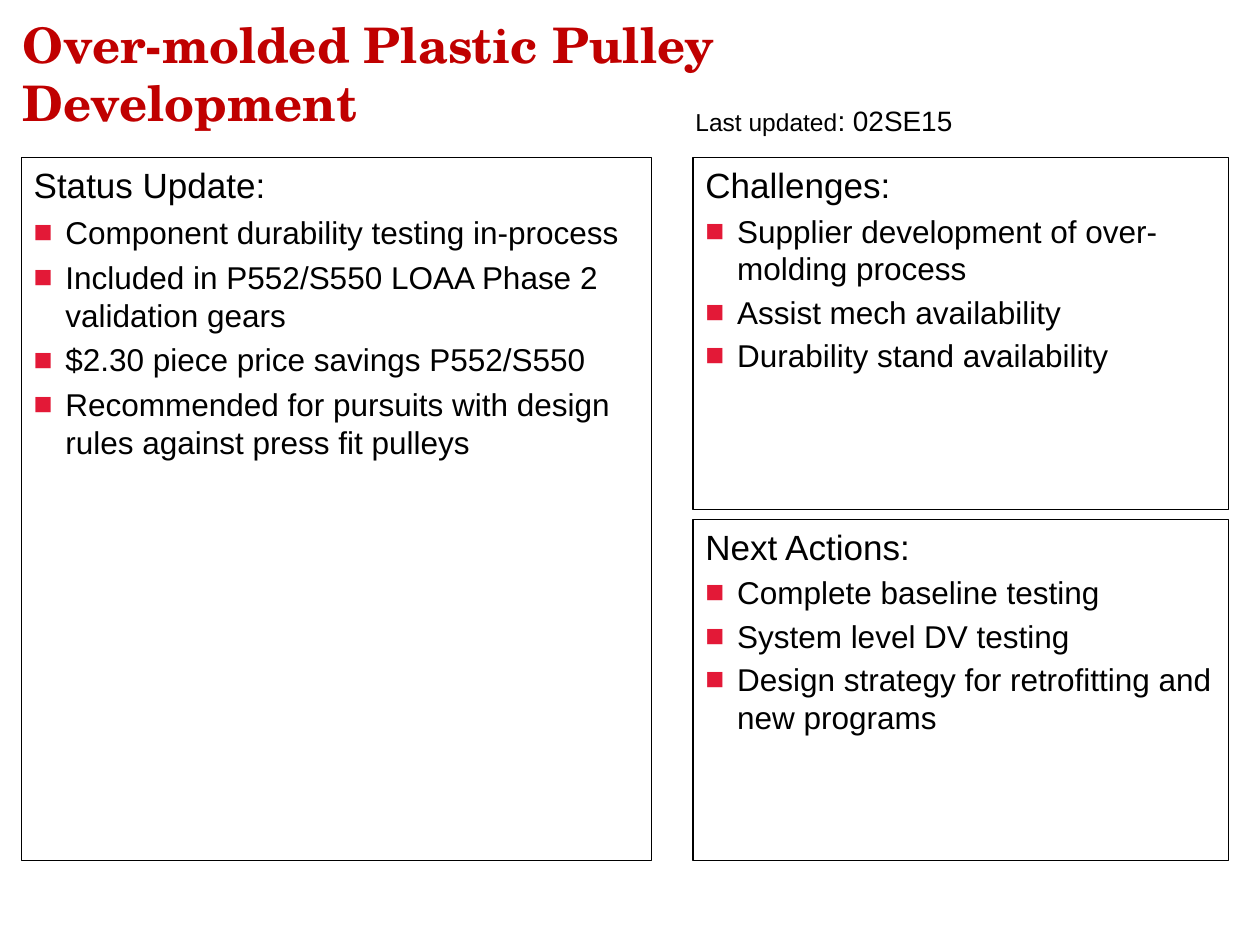
"""Build the status slide for the over-molded plastic pulley development."""
from lxml import etree
from pptx import Presentation
from pptx.dml.color import RGBColor
from pptx.enum.shapes import MSO_SHAPE
from pptx.enum.text import MSO_ANCHOR, PP_ALIGN
from pptx.oxml.ns import qn
from pptx.util import Cm, Pt

RECTANGLE = MSO_SHAPE.RECTANGLE
TOP, MIDDLE = MSO_ANCHOR.TOP, MSO_ANCHOR.MIDDLE
LEFT = PP_ALIGN.LEFT
BLACK = RGBColor(0x00, 0x00, 0x00)
TITLE_RED = RGBColor(0xC0, 0x00, 0x00)
BULLET_RED = RGBColor(0xE3, 0x19, 0x37)
BODY_FONT, TITLE_FONT = "Arial", "TeX Gyre Schola"

TITLE = "Over-molded Plastic Pulley Development"
UPDATED = [("Last updated", 14), (": 02SE15", 16)]
STATUS = ("Status Update:", [
    "Component durability testing in-process",
    "Included in P552/S550 LOAA Phase 2 validation gears",
    "$2.30 piece price savings P552/S550",
    "Recommended for pursuits with design rules against press fit pulleys",
])
CHALLENGES = ("Challenges:", [
    "Supplier development of over-molding process",
    "Assist mech availability",
    "Durability stand availability",
])
ACTIONS = ("Next Actions:", [
    "Complete baseline testing",
    "System level DV testing",
    "Design strategy for retrofitting and new programs",
])

PANEL_TOP, PANEL_BOTTOM = 3.18, 17.35
LEFT_X, LEFT_WIDTH = 0.43, 12.7
RIGHT_X, RIGHT_WIDTH = 13.97, 10.8
CHALLENGES_HEIGHT, PANEL_GAP = 7.09, 0.2
ACTIONS_TOP = PANEL_TOP + CHALLENGES_HEIGHT + PANEL_GAP
PANELS = [
    (STATUS, LEFT_X, PANEL_TOP, LEFT_WIDTH, PANEL_BOTTOM - PANEL_TOP, 4),
    (CHALLENGES, RIGHT_X, PANEL_TOP, RIGHT_WIDTH, CHALLENGES_HEIGHT, 3.2),
    (ACTIONS, RIGHT_X, ACTIONS_TOP, RIGHT_WIDTH, PANEL_BOTTOM - ACTIONS_TOP, 3.2),
]


def add_text(paragraph, text, size=18, font=BODY_FONT, color=BLACK, bold=False):
    run = paragraph.add_run()
    run.text = text
    run.font.size = Pt(size)
    run.font.name = font
    run.font.color.rgb = color
    run.font.bold = bold
    paragraph.alignment = LEFT


def add_bullet(paragraph):
    properties = paragraph._p.get_or_add_pPr()
    properties.set("marL", str(Cm(0.64)))
    properties.set("indent", str(-Cm(0.64)))
    color = etree.SubElement(properties, qn("a:buClr"))
    etree.SubElement(color, qn("a:srgbClr"), val=str(BULLET_RED))
    etree.SubElement(properties, qn("a:buFont"), typeface=BODY_FONT)
    etree.SubElement(properties, qn("a:buChar"), char="■")


def prepare_frame(shape, anchor=TOP):
    frame = shape.text_frame
    frame.word_wrap = True
    frame.vertical_anchor = anchor
    return frame


def add_panel(slide, content, left, top, width, height, space):
    heading, items = content
    panel = slide.shapes.add_shape(
        RECTANGLE, Cm(left), Cm(top), Cm(width), Cm(height))
    panel.shadow.inherit = False
    panel.fill.background()
    panel.line.color.rgb = BLACK
    panel.line.width = Pt(0.75)
    frame = prepare_frame(panel)
    add_text(frame.paragraphs[0], heading, size=20)
    for item in items:
        paragraph = frame.add_paragraph()
        add_bullet(paragraph)
        paragraph.space_before = Pt(space)
        add_text(paragraph, item)


def main():
    presentation = Presentation()
    presentation.slide_width, presentation.slide_height = Cm(25.4), Cm(19.05)
    slide = presentation.slides.add_slide(presentation.slide_layouts[5])

    title = slide.shapes.title
    title.left, title.top, title.width, title.height = Cm(0.2), Cm(0.2), Cm(16.94), Cm(2.54)
    add_text(prepare_frame(title, MIDDLE).paragraphs[0], TITLE,
             size=28, font=TITLE_FONT, color=TITLE_RED, bold=True)

    for panel in PANELS:
        add_panel(slide, *panel)

    updated = slide.shapes.add_textbox(Cm(13.77), Cm(1.96), Cm(10.16), Cm(1.02))
    paragraph = prepare_frame(updated).paragraphs[0]
    for text, size in UPDATED:
        add_text(paragraph, text, size=size)

    presentation.save("out.pptx")


if __name__ == "__main__":
    main()
